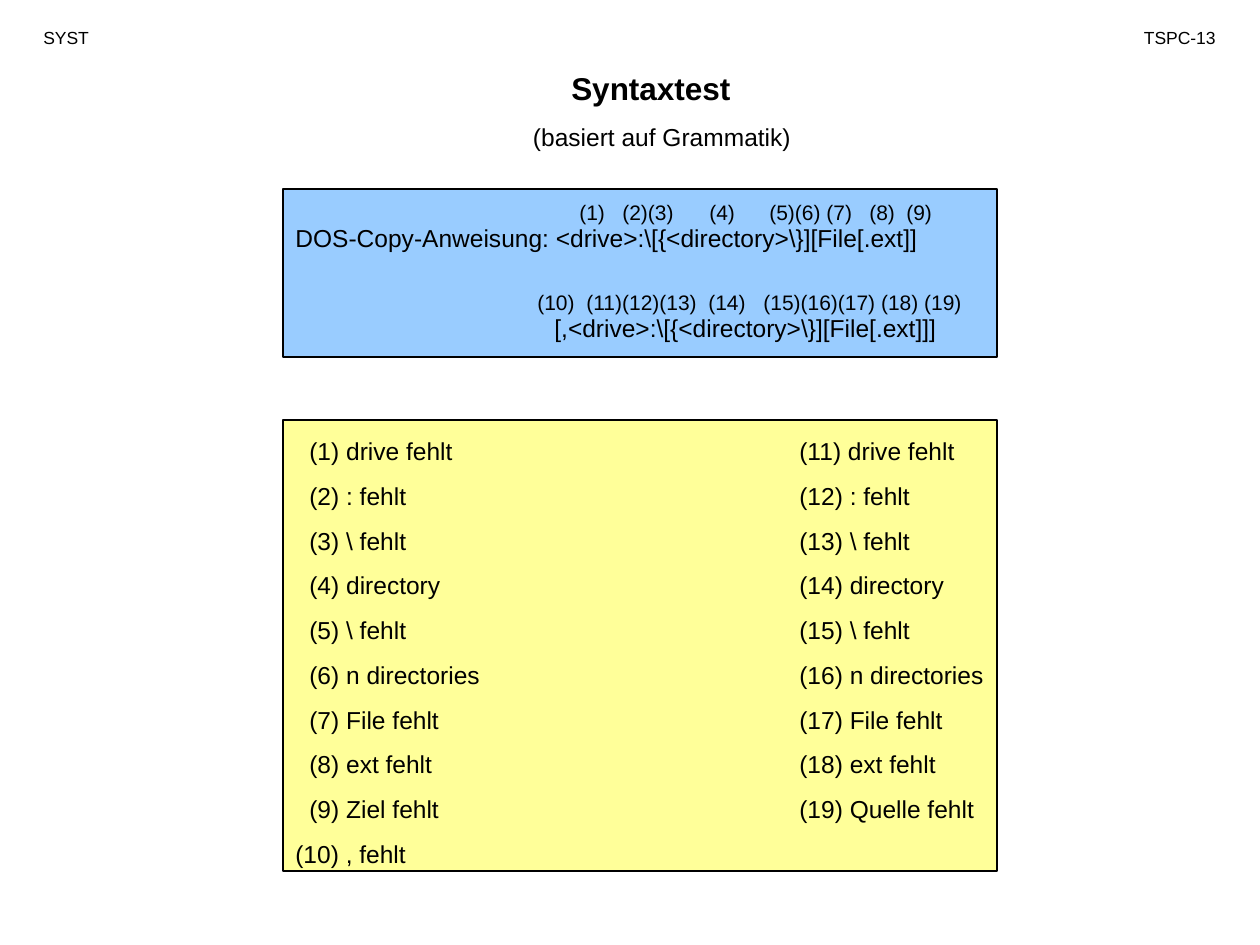
"""Build the slide on syntax tests for a DOS copy command."""
from pptx import Presentation
from pptx.dml.color import RGBColor
from pptx.enum.shapes import MSO_SHAPE
from pptx.enum.text import MSO_AUTO_SIZE, PP_ALIGN
from pptx.oxml.ns import qn
from pptx.util import Pt
from lxml import etree

PX = 914400 / 126
BLACK = RGBColor(0x00, 0x00, 0x00)
BLUE = RGBColor(0x99, 0xCC, 0xFF)
YELLOW = RGBColor(0xFF, 0xFF, 0x99)
RECTANGLE = MSO_SHAPE.RECTANGLE
GROW = MSO_AUTO_SIZE.SHAPE_TO_FIT_TEXT
LEFT, CENTER, RIGHT = PP_ALIGN.LEFT, PP_ALIGN.CENTER, PP_ALIGN.RIGHT


def px(*lengths):
    return [round(length * PX) for length in lengths]


def add_text(lines, box, size=14, bold=False, align=LEFT, tabs=(), gap=0):
    frame = slide.shapes.add_textbox(*px(*box)).text_frame
    frame.word_wrap = True
    frame.auto_size = GROW
    for index, line in enumerate(lines):
        paragraph = frame.paragraphs[0] if index == 0 else frame.add_paragraph()
        paragraph.alignment = align
        if tabs:
            stops = etree.SubElement(paragraph._p.get_or_add_pPr(), qn("a:tabLst"))
            for position in px(*tabs):
                etree.SubElement(stops, qn("a:tab"), pos=str(position), algn="l")
        if index:
            paragraph.space_before = Pt(gap)
        run = paragraph.add_run()
        run.text = line
        run.font.name = "Arial"
        run.font.size = Pt(size)
        run.font.bold = bold
        run.font.color.rgb = BLACK


prs = Presentation()
prs.slide_width, prs.slide_height = px(1260, 945)
slide = prs.slides.add_slide(prs.slide_layouts[6])

for top, height, color in [(189, 168, BLUE), (420, 451, YELLOW)]:
    panel = slide.shapes.add_shape(RECTANGLE, *px(283, top, 714, height))
    panel.shadow.inherit = False
    panel.fill.solid()
    panel.fill.fore_color.rgb = color
    panel.line.color.rgb = BLACK
    panel.line.width = Pt(0.75)

add_text(["Syntaxtest"], (273, 63, 756, 50), size=18, bold=True, align=CENTER)
add_text(["SYST"], (31, 21, 116, 34), size=10)
add_text(["TSPC-13"], (1102, 21, 126, 34), size=10, align=RIGHT)
add_text(["(basiert auf Grammatik)"], (494, 116, 336, 43), align=CENTER)

syntax = [
    r"DOS-Copy-Anweisung: <drive>:\[{<directory>\}][File[.ext]]",
    "\t" + r"[,<drive>:\[{<directory>\}][File[.ext]]]",
]
add_text(syntax, (283, 217, 735, 132), tabs=[259], gap=34.7)

add_text(["(1)\t(2)(3)\t(4)\t(5)(6) (7)\t(8)\t(9)"], (567, 193, 441, 38),
         size=12, tabs=[43, 130, 190, 290, 327])
add_text(["(10)\t(11)(12)(13)\t(14)\t(15)(16)(17) (18) (19)"], (525, 283, 483, 38),
         size=12, tabs=[49, 171, 226])

shared_faults = ["drive fehlt", ": fehlt", r"\ fehlt", "directory", r"\ fehlt",
                 "n directories", "File fehlt", "ext fehlt"]
target_faults = shared_faults + ["Ziel fehlt"]
source_faults = shared_faults + ["Quelle fehlt"]
test_cases = [
    f"\t({number}) {target}\t({number + 10}) {source}"
    for number, (target, source) in enumerate(zip(target_faults, source_faults), 1)
]
add_text(test_cases + ["(10) , fehlt"], (283, 430, 766, 445), tabs=[14, 504], gap=8.75)

prs.save("out.pptx")
